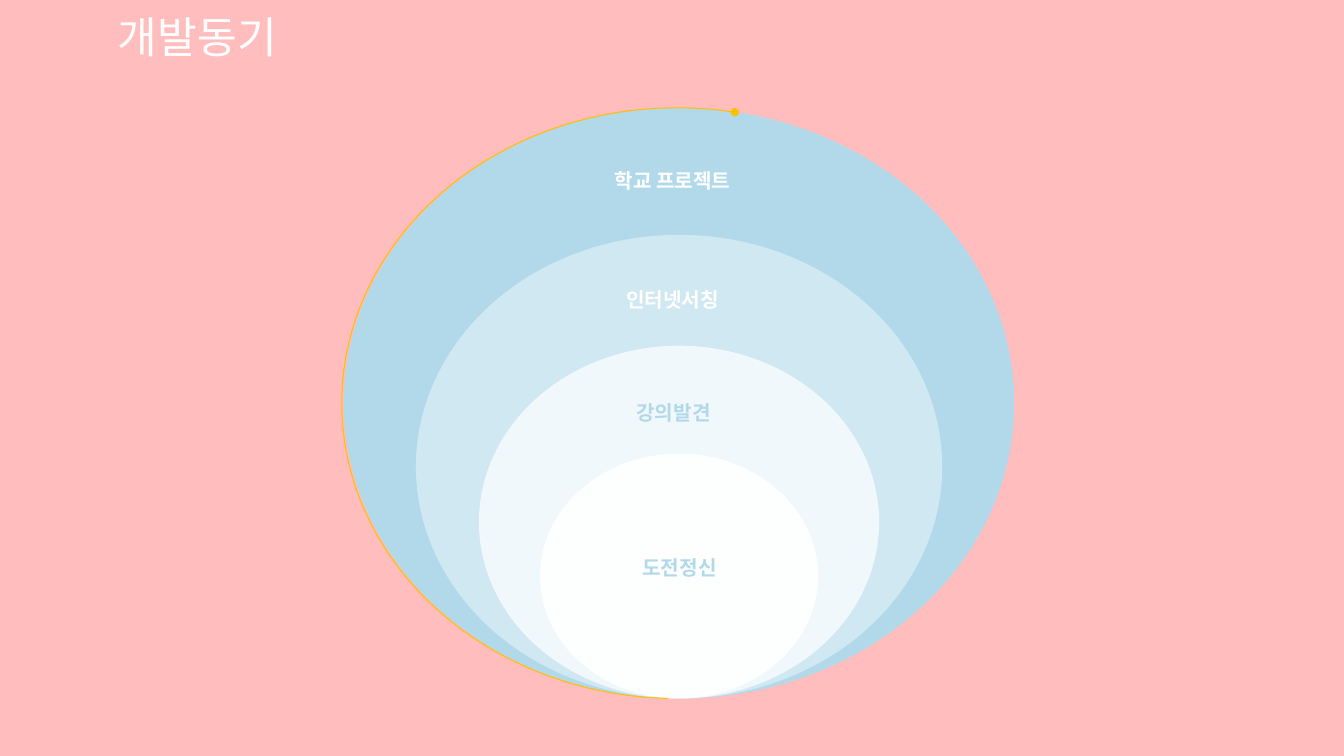
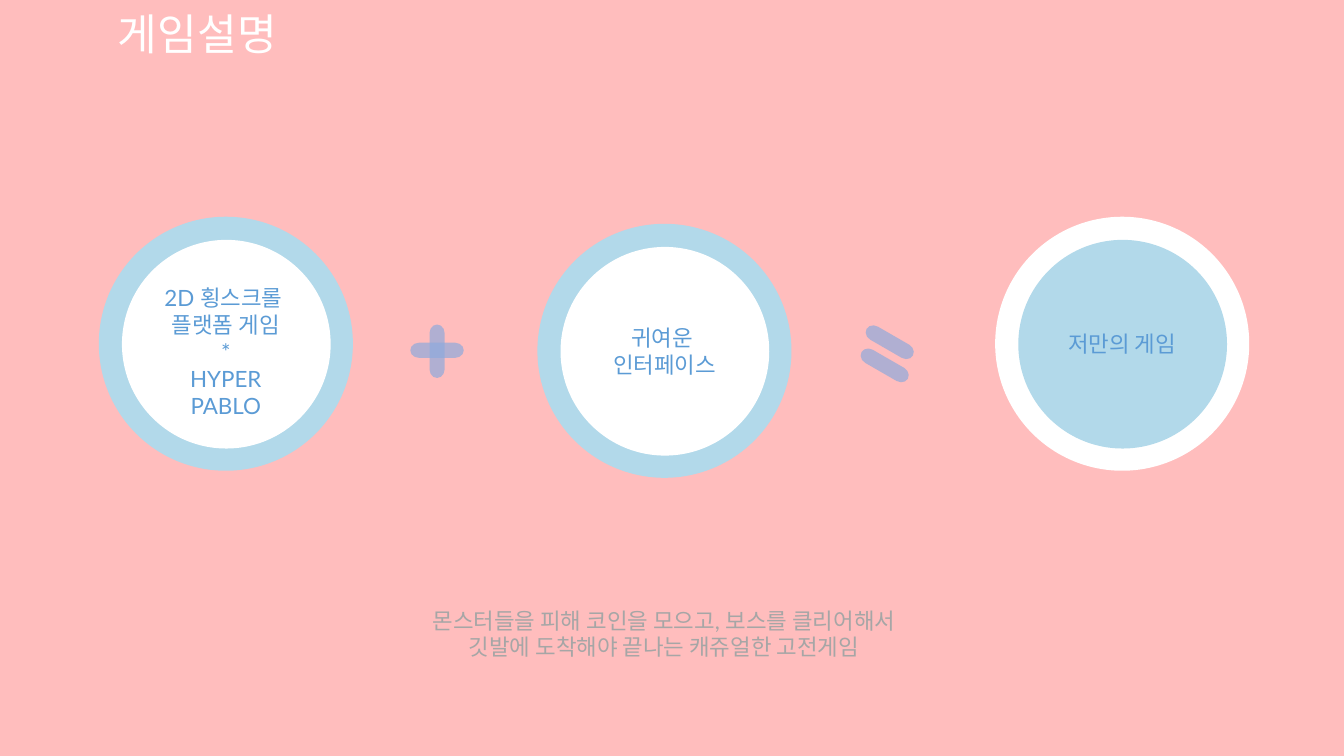
from dataclasses import dataclass

from lxml.etree import SubElement
from pptx import Presentation
from pptx.dml.color import RGBColor as RGB
from pptx.enum.shapes import MSO_SHAPE as SHAPE
from pptx.enum.text import MSO_AUTO_SIZE as AUTO, PP_ALIGN as ALIGN
from pptx.oxml.ns import qn
from pptx.util import Pt

EMU_PER_PX = 9144


@dataclass(frozen=True)
class Theme:
    back: str = "FFBDBD"
    white: str = "FFFFFF"
    sky: str = "B2D9EA"
    blue: str = "5B9BD5"
    sign: str = "8FAADC"
    gray: str = "A6A6A6"
    gold: str = "FFC000"
    font: str = "Lato"
    title_pt: float = 30.8
    body_pt: float = 16
    label_pt: float = 14.4


T = Theme()


def px(*values):
    return [round(v * EMU_PER_PX) for v in values]


def add_text(sl, text, box, size=T.body_pt, color=T.blue, bold=None,
             align=ALIGN.CENTER, inset=(12, 6)):
    tf = sl.shapes.add_textbox(*px(*box)).text_frame
    tf.word_wrap = True
    tf.auto_size = AUTO.SHAPE_TO_FIT_TEXT
    tf.margin_left, tf.margin_top = px(*inset)
    tf.margin_right, tf.margin_bottom = px(*inset)
    for i, line in enumerate(text.split("\n")):
        p = tf.paragraphs[0] if i == 0 else tf.add_paragraph()
        p.alignment = align
        r = p.add_run()
        r.text = line
        r.font.name = T.font
        r.font.size = Pt(size)
        r.font.bold = bold
        r.font.color.rgb = RGB.from_string(color)


def add_fill(sl, kind, box, color, opacity=100, rotation=0):
    s = sl.shapes.add_shape(kind, *px(*box))
    s.shadow.inherit = False
    s.line.fill.background()
    s.fill.solid()
    s.fill.fore_color.rgb = RGB.from_string(color)
    s.rotation = rotation
    if opacity < 100:
        clr = s.element.spPr.find(qn("a:solidFill")).find(qn("a:srgbClr"))
        SubElement(clr, qn("a:alpha")).set("val", str(opacity * 1000))


def add_arc(sl, box, start, end):
    s = sl.shapes.add_shape(SHAPE.ARC, *px(*box))
    s.shadow.inherit = False
    s.fill.background()
    s.adjustments[0], s.adjustments[1] = start, end
    s.line.color.rgb = RGB.from_string(T.gold)
    s.line.width = Pt(0.75)
    ln = s.element.spPr.find(qn("a:ln"))
    SubElement(ln, qn("a:tailEnd")).set("type", "oval")


def add_base(prs, title, top):
    sl = prs.slides.add_slide(prs.slide_layouts[6])
    sl.background.fill.solid()
    sl.background.fill.fore_color.rgb = RGB.from_string(T.back)
    add_text(sl, title, (105, top, 454, 64), size=T.title_pt,
             color=T.white, align=ALIGN.LEFT)
    return sl


def add_nested(sl, box):
    x, y, w, h = box
    rings = [
        (w, h, T.sky, 100, "학교 프로젝트", T.white, 188, 55),
        (522, 460, T.white, 40, "인터넷서칭", T.white, 188, 173),
        (397, 350, T.white, 70, "강의발견", T.sky, 189, 285),
        (276, 243, T.white, 90, "도전정신", T.sky, 195, 439),
    ]
    for rw, rh, fill, opacity, *_ in rings:
        ring = (x + (w - rw) / 2, y + h - rh, rw, rh)
        add_fill(sl, SHAPE.OVAL, ring, fill, opacity)
    for *_, label, color, dx, dy in rings:
        add_text(sl, label, (x + dx, y + dy, 276, 34), size=T.label_pt,
                 color=color, bold=True, inset=(10, 5))
    add_arc(sl, (x - 2, y, w, h), 55.025, 168.745)


def add_badge(sl, text, box, outer, inner, text_top, text_h):
    x, y, d = box
    rim = 23
    core = d - 2 * rim + 1
    add_fill(sl, SHAPE.OVAL, (x, y, d, d), outer)
    add_fill(sl, SHAPE.OVAL, (x + rim, y + rim, core, core), inner)
    add_text(sl, text, (x - 39, y + text_top, 330, text_h))


def add_sign(sl, box, bars):
    x, y = box
    for dx, dy, rotation in bars:
        add_fill(sl, SHAPE.FLOWCHART_TERMINATOR, (x + dx, y + dy, 53, 15),
                 T.sign, 70, rotation)


def add_equation(sl, box):
    x, y = box
    add_badge(sl, "2D 횡스크롤 \n플랫폼 게임\n*\nHYPER\nPABLO",
              (x, y, 252), T.sky, T.white, 61, 147)
    add_sign(sl, (x + 309, y + 125), [(0, 1, 90), (0, 0, 0)])
    add_badge(sl, "귀여운 \n인터페이스", (x + 435, y + 7, 252),
              T.sky, T.white, 94, 66)
    add_sign(sl, (x + 753, y + 117), [(5, 0, 30), (0, 23, 30)])
    add_badge(sl, "저만의 게임", (x + 889, y, 252),
              T.white, T.sky, 107, 39)


def main():
    prs = Presentation()
    prs.slide_width, prs.slide_height = px(1333, 750)

    sl = add_base(prs, "개발동기", 4)
    add_nested(sl, (341, 107, 665, 586))

    sl = add_base(prs, "게임설명", 1)
    add_equation(sl, (98, 215))
    add_text(sl, "몬스터들을 피해 코인을 모으고, 보스를 클리어해서 "
             "깃발에 도착해야 끝나는 캐쥬얼한 고전게임",
             (408, 596, 501, 66), color=T.gray)

    prs.save("out.pptx")


if __name__ == "__main__":
    main()
